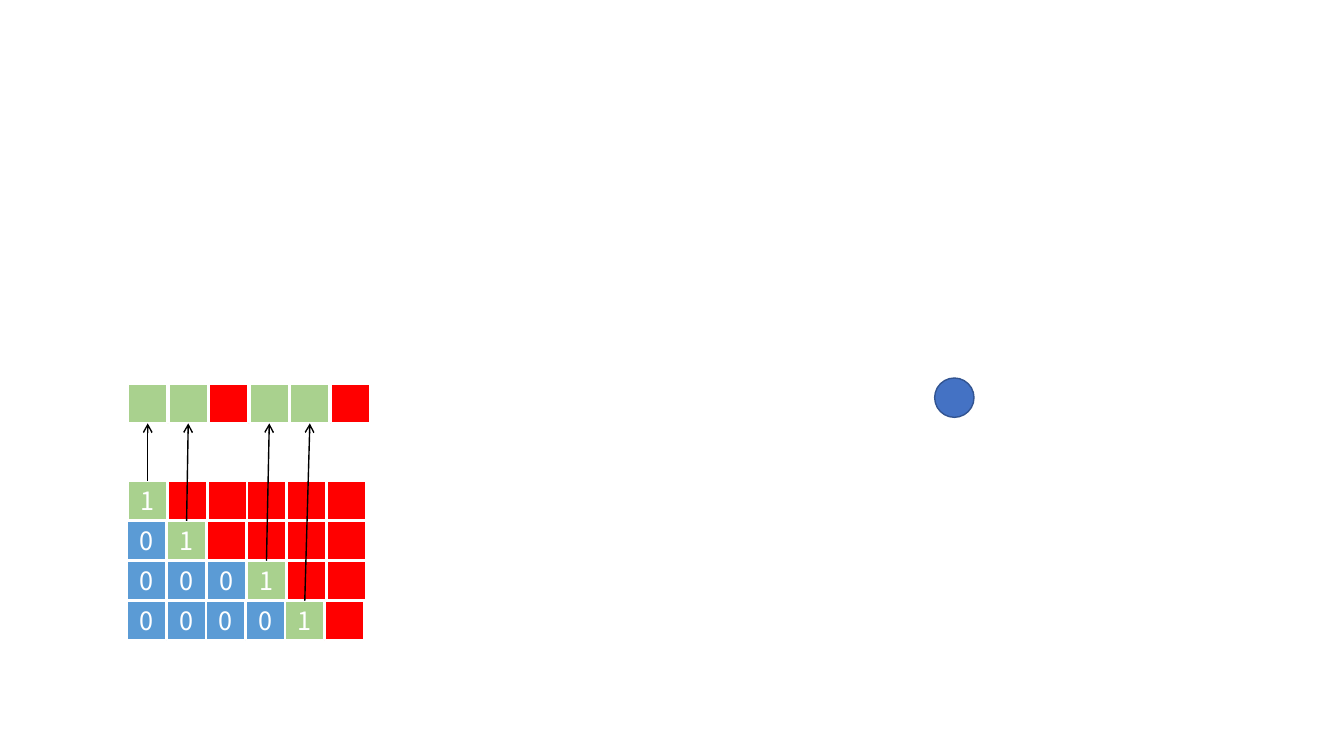
from dataclasses import dataclass

from lxml import etree
from pptx import Presentation
from pptx.dml.color import RGBColor
from pptx.enum.shapes import MSO_CONNECTOR as Connector, MSO_SHAPE as Shape
from pptx.enum.text import MSO_ANCHOR as Anchor, PP_ALIGN as Align
from pptx.oxml.ns import qn
from pptx.util import Inches, Pt


@dataclass(frozen=True)
class Theme:
    """Colours, font and sizes of the slide."""
    zero: str = "5B9BD5"
    pivot: str = "A9D18E"
    free: str = "FF0000"
    white: str = "FFFFFF"
    black: str = "000000"
    dot: str = "4472C4"
    dot_edge: str = "325491"
    font: str = "Noto Sans CJK SC"
    digit_size: int = 18
    cell_edge: float = 1.5
    thin_line: float = 1


THEME = Theme()
CELL = 0.39
VECTOR_TOP = 3.81
MATRIX_TOP, MATRIX_LAST_TOP = 4.77, 5.96
VECTOR = ("PP*PP*", 1.27, 3.28)
MATRIX = [
    ("1*****", 1.27, 3.24),
    ("01****", 1.26, 3.24),
    ("0001**", 1.26, 3.24),
    ("00001*", 1.26, 3.22),
]
FILLS = {"0": THEME.zero, "1": THEME.pivot, "P": THEME.pivot, "*": THEME.free}


def rgb(code):
    """Turn a hex code into a colour."""
    return RGBColor.from_string(code)


def add_tile(slide, kind, left, top, fill, edge, edge_width):
    """Add one filled and outlined shape of cell size."""
    tile = slide.shapes.add_shape(
        kind, Inches(left), Inches(top), Inches(CELL), Inches(CELL))
    tile.shadow.inherit = False
    tile.fill.solid()
    tile.fill.fore_color.rgb = rgb(fill)
    tile.line.color.rgb = rgb(edge)
    tile.line.width = Pt(edge_width)
    return tile


def write_digit(cell, digit):
    """Centre a digit in a cell."""
    frame = cell.text_frame
    frame.vertical_anchor = Anchor.MIDDLE
    paragraph = frame.paragraphs[0]
    paragraph.text = digit
    paragraph.alignment = Align.CENTER
    paragraph.font.name = THEME.font
    paragraph.font.size = Pt(THEME.digit_size)
    paragraph.font.color.rgb = rgb(THEME.white)


def add_row(slide, marks, first_left, last_left, top):
    """Add evenly spaced cells, one for each mark, and return them."""
    pitch = (last_left - first_left) / (len(marks) - 1)
    cells = []
    for column, mark in enumerate(marks):
        cell = add_tile(slide, Shape.RECTANGLE, first_left + column * pitch, top,
                        FILLS[mark], THEME.white, THEME.cell_edge)
        if mark.isdigit():
            write_digit(cell, mark)
        cells.append(cell)
    return cells


def add_arrow(slide, pivot, target):
    """Join the top of a pivot cell to the bottom of its vector cell."""
    arrow = slide.shapes.add_connector(Connector.STRAIGHT, 0, 0, 0, 0)
    arrow.begin_connect(pivot, 0)
    arrow.end_connect(target, 2)
    arrow.line.color.rgb = rgb(THEME.black)
    arrow.line.width = Pt(THEME.thin_line)
    etree.SubElement(arrow.line._get_or_add_ln(), qn("a:tailEnd"), type="arrow")
    etree.SubElement(arrow._element.spPr, qn("a:effectLst"))


def main():
    """Build the slide and save it."""
    deck = Presentation()
    deck.slide_width, deck.slide_height = Inches(13.33), Inches(7.5)
    slide = deck.slides.add_slide(deck.slide_layouts[6])

    vector_cells = add_row(slide, *VECTOR, VECTOR_TOP)
    row_pitch = (MATRIX_LAST_TOP - MATRIX_TOP) / (len(MATRIX) - 1)
    matrix_cells = [add_row(slide, *row, MATRIX_TOP + index * row_pitch)
                    for index, row in enumerate(MATRIX)]
    add_tile(slide, Shape.OVAL, 9.27, 3.75, THEME.dot, THEME.dot_edge, THEME.thin_line)

    for (marks, _, _), cells in zip(MATRIX, matrix_cells):
        pivot_column = marks.index("1")
        add_arrow(slide, cells[pivot_column], vector_cells[pivot_column])

    deck.save("out.pptx")


if __name__ == "__main__":
    main()
